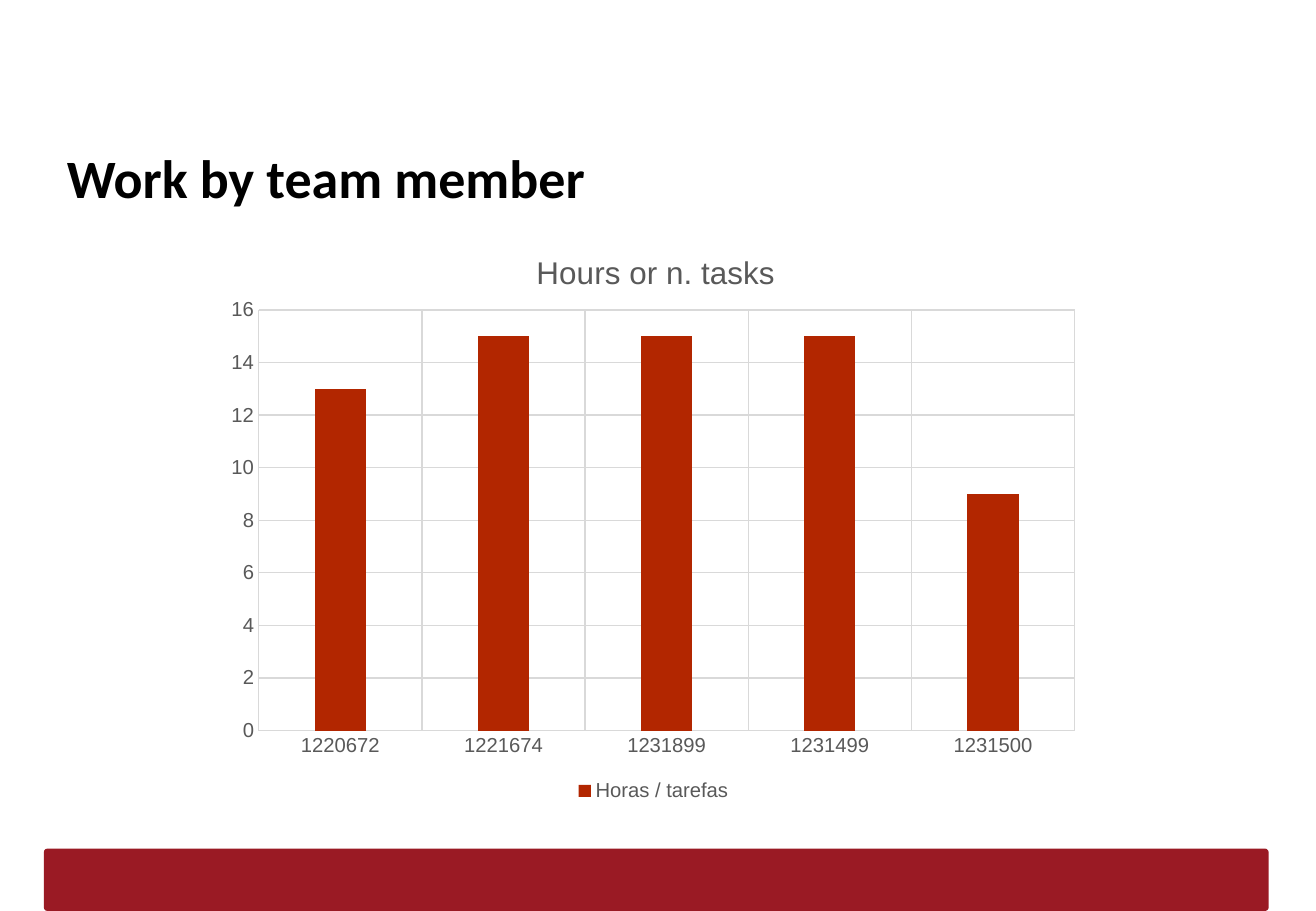
from lxml.etree import SubElement
from pptx import Presentation
from pptx.chart.data import CategoryChartData
from pptx.dml.color import RGBColor
from pptx.enum.chart import XL_CHART_TYPE, XL_LEGEND_POSITION, XL_TICK_MARK
from pptx.enum.shapes import MSO_SHAPE
from pptx.enum.text import MSO_ANCHOR, MSO_AUTO_SIZE, PP_ALIGN
from pptx.oxml.ns import qn
from pptx.util import Pt

HOURS_BY_MEMBER = {"1220672": 13, "1221674": 15, "1231899": 15, "1231499": 15, "1231500": 9}
GREY = "595959"
GRID = "D9D9D9"


def color(value):
    """Turn a hex string into a colour."""
    return RGBColor.from_string(value)


def style_font(font, name, size, value, bold=False):
    """Set the face, size, colour and weight of a font."""
    font.name, font.size, font.bold = name, Pt(size), bold
    font.color.rgb = color(value)


def style_line(line, value):
    """Give a line a thin solid stroke."""
    line.width = Pt(0.75)
    line.color.rgb = color(value)


def add_footer_bar(page):
    """Draw the rounded bar along the bottom."""
    bar = page.shapes.add_shape(MSO_SHAPE.ROUNDED_RECTANGLE, Pt(26), Pt(503), Pt(726), Pt(37))
    bar.adjustments[0] = 0.06
    bar.shadow.inherit = False
    bar.fill.solid()
    bar.fill.fore_color.rgb = color("9A1A24")
    bar.line.fill.background()


def fill_title(page, text):
    """Place and format the title placeholder."""
    box = page.shapes.title
    box.left, box.top, box.width, box.height = Pt(32.4), Pt(78.5), Pt(712), Pt(45.4)
    frame = box.text_frame
    frame.auto_size = MSO_AUTO_SIZE.NONE
    frame.vertical_anchor = MSO_ANCHOR.TOP
    frame.margin_left = frame.margin_right = frame.margin_top = frame.margin_bottom = Pt(7.2)
    para = frame.paragraphs[0]
    para.alignment = PP_ALIGN.LEFT
    span = para.add_run()
    span.text = text
    style_font(span.font, "Calibri", 32, "000000", True)


def set_layout(element, position, **fractions):
    """Place a chart part by fractions of the chart's size."""
    layout = element.find(qn("c:layout"))
    if layout is None:
        layout = SubElement(element, qn("c:layout"))
    element.insert(position, layout)
    manual = SubElement(layout, qn("c:manualLayout"))
    if "w" in fractions:
        SubElement(manual, qn("c:layoutTarget")).set("val", "inner")
    for side in "xy":
        SubElement(manual, qn(f"c:{side}Mode")).set("val", "edge")
    for key, value in fractions.items():
        SubElement(manual, qn(f"c:{key}")).set("val", str(value))


def style_axis(axis):
    """Format an axis with grey labels and gridlines."""
    axis.major_tick_mark = axis.minor_tick_mark = XL_TICK_MARK.NONE
    axis.has_major_gridlines = True
    style_line(axis.major_gridlines.format.line, GRID)
    style_font(axis.tick_labels.font, "Arial", 12, GREY)


def add_hours_chart(page):
    """Add the column chart of hours by team member."""
    data = CategoryChartData()
    data.categories = HOURS_BY_MEMBER.keys()
    data.add_series("Horas / tarefas", HOURS_BY_MEMBER.values())
    chart = page.shapes.add_chart(
        XL_CHART_TYPE.COLUMN_CLUSTERED, Pt(127.4), Pt(131.8), Pt(520), Pt(346.3), data
    ).chart
    style_font(chart.font, "Arial", 10, "000000")

    title = chart.chart_title
    span = title.text_frame.paragraphs[0].add_run()
    span.text = "Hours or n. tasks"
    style_font(span.font, "Arial", 18.6, GREY)
    title.include_in_layout = False
    set_layout(title._element, 1, x=0.36, y=0.04)

    plot = chart.plots[0]
    plot.gap_width, plot.overlap, plot.vary_by_categories = 219, -27, False
    columns = plot.series[0].format.fill
    columns.solid()
    columns.fore_color.rgb = color("B22600")
    set_layout(chart._chartSpace.chart.plotArea, 0, x=0.05, y=0.15, w=0.93, h=0.72)

    for axis in (chart.category_axis, chart.value_axis):
        style_axis(axis)
    style_line(chart.category_axis.format.line, GRID)
    scale = chart.value_axis
    scale.format.line.fill.background()
    scale.minimum_scale, scale.maximum_scale, scale.major_unit = 0, 16, 2

    chart.has_legend = True
    chart.legend.position = XL_LEGEND_POSITION.BOTTOM
    chart.legend.include_in_layout = False
    style_font(chart.legend.font, "Arial", 12, GREY)


def main():
    """Build the slide and save the deck."""
    deck = Presentation()
    deck.slide_width, deck.slide_height = Pt(780), Pt(540)
    page = deck.slides.add_slide(deck.slide_layouts[5])
    add_footer_bar(page)
    fill_title(page, "Work by team member")
    add_hours_chart(page)
    deck.save("out.pptx")


if __name__ == "__main__":
    main()
